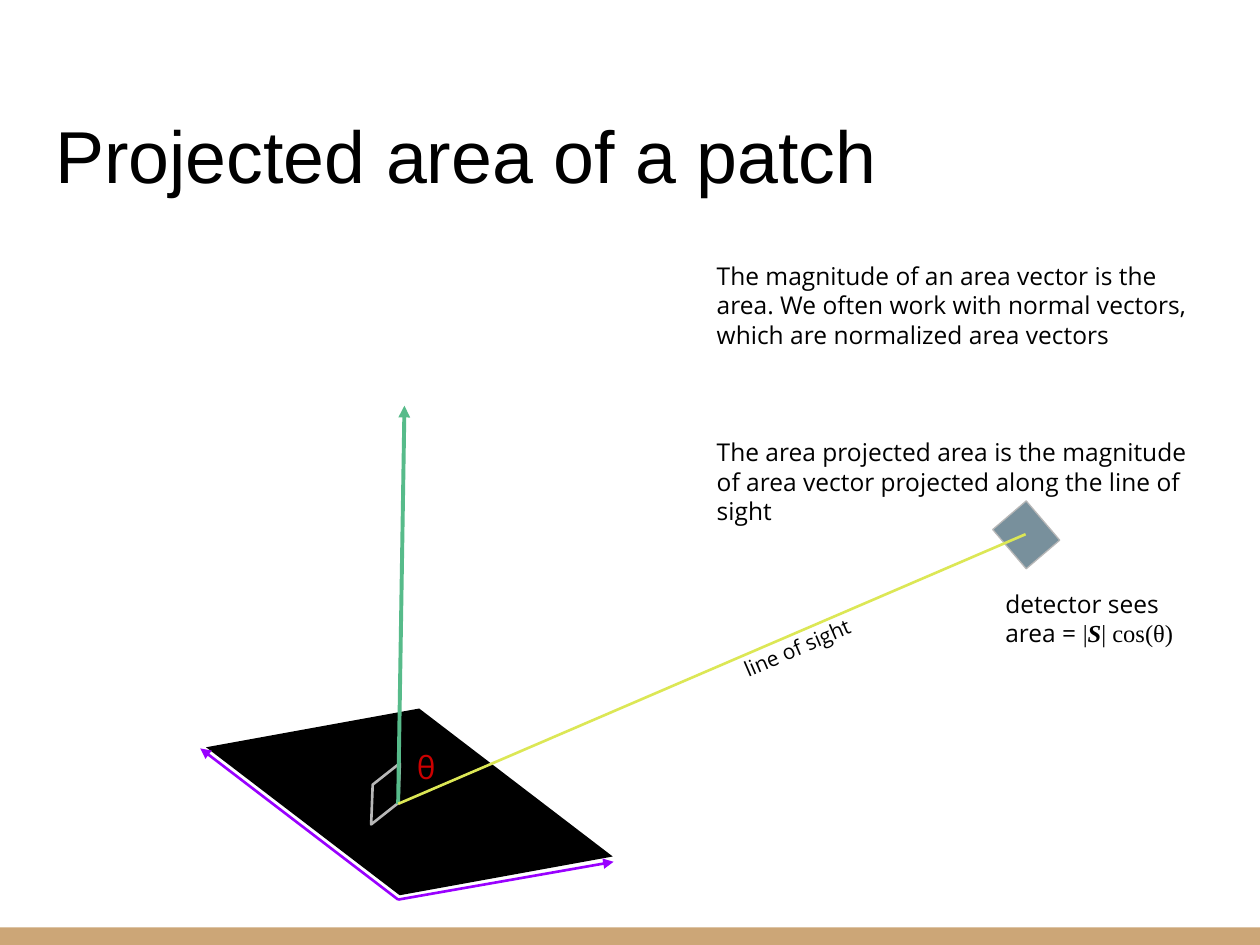
from lxml import etree
from pptx import Presentation
from pptx.dml.color import RGBColor
from pptx.enum.shapes import MSO_CONNECTOR, MSO_SHAPE
from pptx.enum.text import MSO_ANCHOR, PP_ALIGN
from pptx.oxml.ns import qn
from pptx.util import Inches, Pt

STRAIGHT = MSO_CONNECTOR.STRAIGHT
RECTANGLE, PARALLELOGRAM = MSO_SHAPE.RECTANGLE, MSO_SHAPE.PARALLELOGRAM
TOP, MIDDLE, BOTTOM = MSO_ANCHOR.TOP, MSO_ANCHOR.MIDDLE, MSO_ANCHOR.BOTTOM
LEFT, CENTER = PP_ALIGN.LEFT, PP_ALIGN.CENTER
SANS, SERIF = "Open Sans", "Times New Roman"


def color(value):
    return RGBColor.from_string(value)


presentation = Presentation()
presentation.slide_width, presentation.slide_height = Inches(10), Inches(7.5)
slide = presentation.slides.add_slide(presentation.slide_layouts[6])

# Footer band, detector, patch and right-angle mark
shapes = [
    dict(kind=RECTANGLE, box=(0, 7.36, 10, 0.14), fill="CCA677"),
    dict(kind=RECTANGLE, box=(7.97, 4.04, 0.35, 0.41), rotation=319.5,
         fill="78909C", line=("B7B7B7", 0.75)),
    dict(kind=PARALLELOGRAM, box=(1.74, 5.65, 3.02, 1.43), rotation=349.7,
         skew=0.91, flip=True, fill="000000"),
    dict(kind=PARALLELOGRAM, box=(2.82, 6.18, 0.48, 0.24), rotation=321.7,
         skew=0.855, line=("B7B7B7", 1.5)),
]
for item in shapes:
    shape = slide.shapes.add_shape(item["kind"], *map(Inches, item["box"]))
    shape.shadow.inherit = False
    shape.rotation = item.get("rotation", 0)
    if "skew" in item:
        shape.adjustments[0] = item["skew"]
    if item.get("flip"):
        shape._element.spPr.find(qn("a:xfrm")).set("flipH", "1")
    if "fill" in item:
        shape.fill.solid()
        shape.fill.fore_color.rgb = color(item["fill"])
    else:
        shape.fill.background()
    if "line" in item:
        line_color, line_width = item["line"]
        shape.line.color.rgb = color(line_color)
        shape.line.width = Pt(line_width)
    else:
        shape.line.fill.background()

# Area vector, line of sight and the two edge vectors
patch_center, patch_corner = (3.16, 6.38), (3.16, 7.14)
lines = [
    (patch_center, (3.21, 3.22), "57BB8A", 2.25, True),
    (patch_center, (8.14, 4.24), "DCE755", 1.5, False),
    (patch_corner, (1.59, 5.94), "9900FF", 1.5, True),
    (patch_corner, (4.87, 6.84), "9900FF", 1.5, True),
]
for start, end, line_color, line_width, has_arrow in lines:
    connector = slide.shapes.add_connector(STRAIGHT, *map(Inches, start + end))
    connector.line.color.rgb = color(line_color)
    connector.line.width = Pt(line_width)
    properties = connector._element.spPr
    if has_arrow:
        outline = properties.find(qn("a:ln"))
        etree.SubElement(outline, qn("a:tailEnd"), type="triangle")
    etree.SubElement(properties, qn("a:effectLst"))

# Texts: each paragraph is a list of runs, each run a text and its font changes
texts = [
    dict(box=(0.34, 0.46, 9.32, 1.21), size=42, font="Arial", anchor=BOTTOM,
         paragraphs=[[("Projected area of a patch", {})]]),
    dict(box=(3.21, 5.84, 0.39, 0.52), size=18, color="CC0000",
         paragraphs=[[("θ", {})]]),
    dict(box=(5.59, 1.97, 4.06, 2.27), size=14, gap=50.5, paragraphs=[
        [("The magnitude of an area vector is the area. We often work with "
          "normal vectors, which are normalized area vectors", {})],
        [("The area projected area is the magnitude of area vector "
          "projected along the line of sight", {})]]),
    dict(box=(5.61, 4.94, 1.43, 0.4), size=12, anchor=MIDDLE, align=CENTER,
         rotation=336.7, paragraphs=[[("line of sight", {})]]),
    dict(box=(7.88, 4.54, 1.78, 0.73), size=14, anchor=MIDDLE, paragraphs=[
        [("detector sees ", {}), "break", ("area = ", {}),
         ("|", {"name": SERIF}),
         ("S", {"name": SERIF, "bold": True, "italic": True}),
         ("| cos(θ)", {"name": SERIF})]]),
]
for item in texts:
    text_box = slide.shapes.add_textbox(*map(Inches, item["box"]))
    text_box.rotation = item.get("rotation", 0)
    frame = text_box.text_frame
    frame_format = {"word_wrap": True, "vertical_anchor": item.get("anchor", TOP)}
    for side in ("left", "top", "right", "bottom"):
        frame_format["margin_" + side] = Inches(0.1)
    for name, value in frame_format.items():
        setattr(frame, name, value)
    for index, runs in enumerate(item["paragraphs"]):
        paragraph = frame.add_paragraph() if index else frame.paragraphs[0]
        paragraph.alignment = item.get("align", LEFT)
        if index:
            paragraph.space_before = Pt(item["gap"])
        for part in runs:
            if part == "break":
                paragraph.add_line_break()
                continue
            text, changes = part
            run = paragraph.add_run()
            run.text = text
            font_format = {"name": item.get("font", SANS),
                           "size": Pt(item["size"]), **changes}
            for name, value in font_format.items():
                setattr(run.font, name, value)
            run.font.color.rgb = color(item.get("color", "000000"))

presentation.save("out.pptx")
